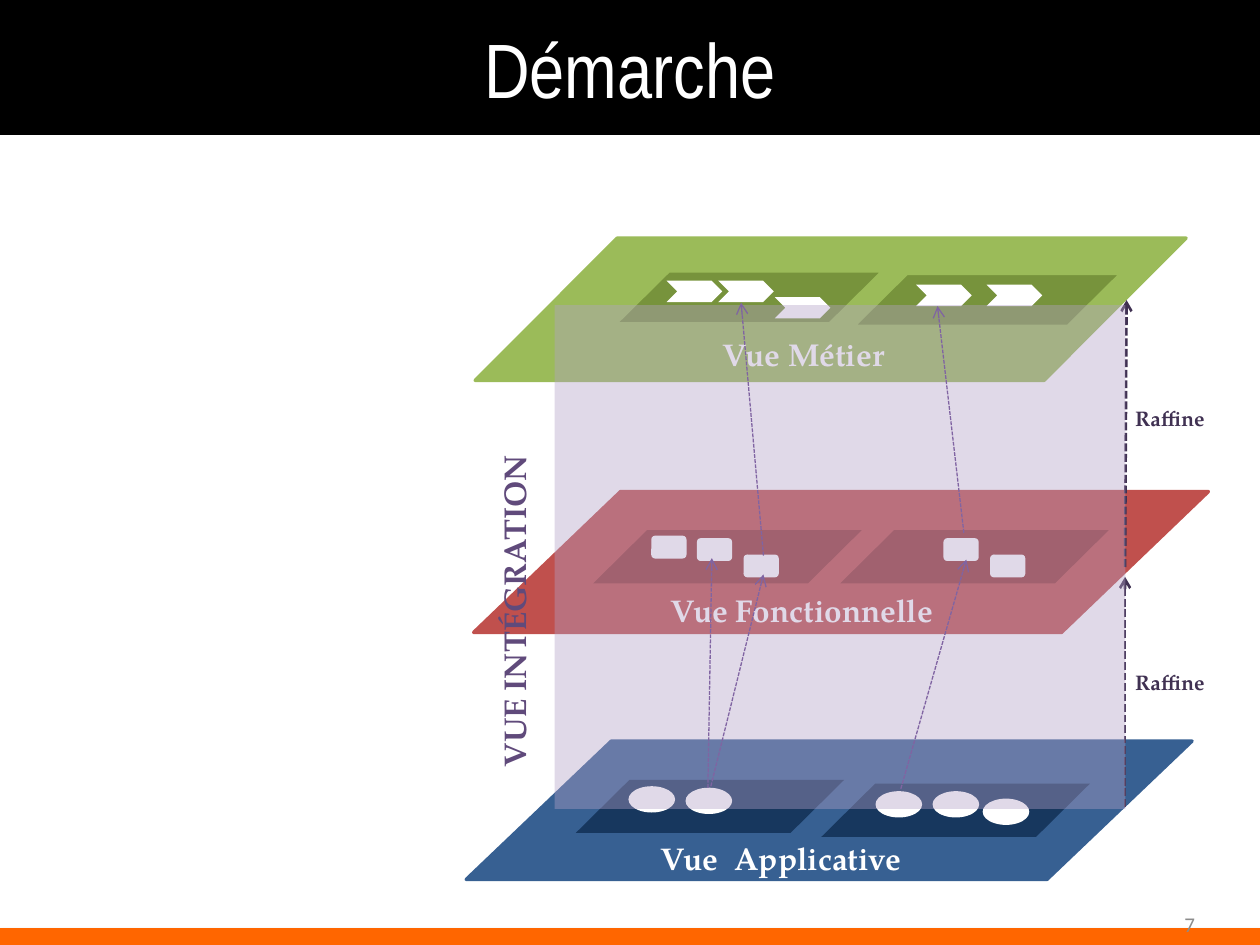
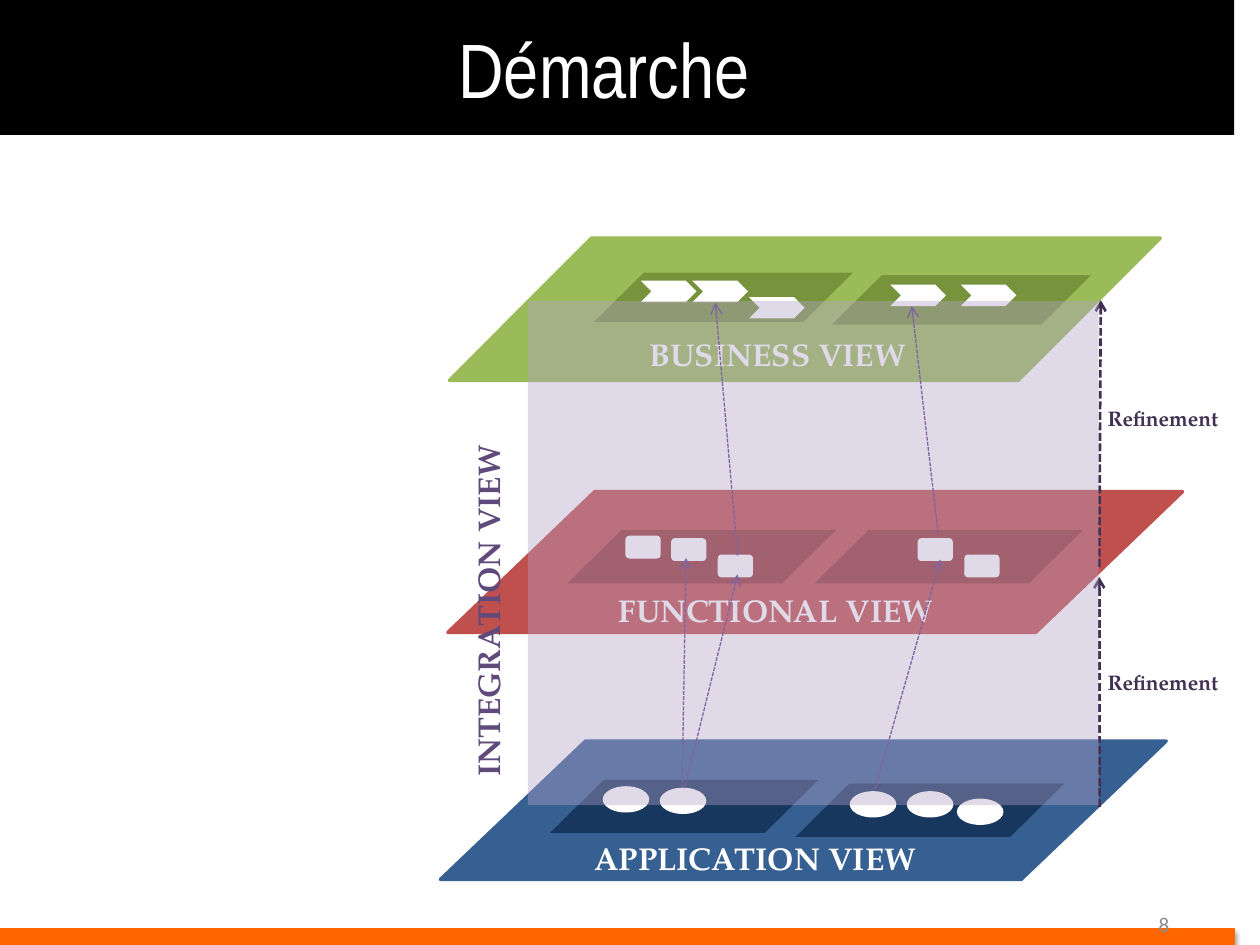
"""Build two slides showing the layered views of the approach, in French and in English."""
from lxml import etree
from pptx import Presentation
from pptx.dml.color import RGBColor
from pptx.enum.dml import MSO_LINE
from pptx.enum.shapes import MSO_CONNECTOR, MSO_SHAPE
from pptx.enum.text import MSO_ANCHOR, MSO_AUTO_SIZE, PP_ALIGN
from pptx.oxml.ns import qn
from pptx.util import Cm, Pt

RECT, PLANE = MSO_SHAPE.RECTANGLE, MSO_SHAPE.FLOWCHART_DATA
CHEVRON, BOX, OVAL = MSO_SHAPE.CHEVRON, MSO_SHAPE.ROUNDED_RECTANGLE, MSO_SHAPE.OVAL
STRAIGHT, DASH = MSO_CONNECTOR.STRAIGHT, MSO_LINE.SQUARE_DOT
MIDDLE, GROW = MSO_ANCHOR.MIDDLE, MSO_AUTO_SIZE.SHAPE_TO_FIT_TEXT
CENTER, RIGHT = PP_ALIGN.CENTER, PP_ALIGN.RIGHT

BLACK, WHITE, ORANGE, GRAY = "000000", "FFFFFF", "FF6600", "8C8C8C"
GREEN, RED, BLUE = "9BBB59", "C0504D", "376092"
VIOLET, LILAC, PURPLE, PLUM = "8064A2", "B3A2C7", "604A7B", "403152"
TITLE_FONT, NUMBER_FONT, LABEL_FONT = "Arial Narrow", "Calibri", "TeX Gyre Pagella"

SLIDES = [
    {"title": "Démarche", "number": "7", "shift": 0, "veil": (11.18, 6.15), "refine_x": 21.31,
     "integration": "VUE INTÉGRATION", "functional": "Vue Fonctionnelle",
     "business": "Vue Métier", "application": "Vue  Applicative", "refine": "Raffine"},
    {"title": "Démarche", "number": "8", "shift": -0.52, "veil": (11.16, 6.07), "refine_x": 21.69,
     "integration": "INTEGRATION VIEW", "functional": "FUNCTIONAL VIEW",
     "business": "BUSINESS VIEW", "application": "APPLICATION VIEW", "refine": "Refinement"},
]

PLANES = [
    (BLUE, (9.4, 14.94, 14.63, 2.79)),
    (RED, (9.55, 9.91, 14.81, 2.84)),
    (GREEN, (9.58, 4.8, 14.33, 2.87)),
]
VIEW_LABELS = [
    ("integration", PURPLE, (5.36, 11.94, 10.01, 0.76), 270),
    ("functional", WHITE, (11.23, 11.91, 9.86, 0.76), 0),
    ("business", WHITE, (12.4, 6.76, 7.59, 0.76), 0),
    ("application", WHITE, (10.74, 16.92, 10.01, 0.76), 0),
]
ZONE_SIZE = (5.41, 1.07)
VIEWS = [
    {"fill": "77933C", "line": GREEN, "kind": CHEVRON, "size": (1.12, 0.43), "zones": [
        ((12.4, 5.46), [(14.48, 5.66), (13.44, 5.66), (15.62, 5.99)]),
        ((17.2, 5.51), [(19.89, 5.74), (18.47, 5.74)])]},
    {"fill": "953735", "line": None, "kind": BOX, "size": (0.71, 0.46), "zones": [
        ((11.96, 10.69), [(13.13, 10.8), (14.05, 10.85), (14.99, 11.18)]),
        ((16.94, 10.69), [(19.02, 10.85), (19.96, 11.18)])]},
    {"fill": "17375E", "line": None, "kind": OVAL, "size": (0.94, 0.53), "zones": [
        ((11.61, 15.72), [(12.67, 15.85), (13.82, 15.88)]),
        ((16.56, 15.8), [(17.65, 15.95), (18.8, 15.95), (19.81, 16.1)])]},
]
VEIL_SIZE = (11.51, 10.16)
REFINE_ARROWS = [((22.68, 11.43), (22.71, 6.05)), ((22.68, 16.26), (22.68, 11.63))]
REFINE_TOPS = [8.18, 13.49]
TRACE_ARROWS = [
    ((19.43, 10.74), (18.9, 6.17)),
    ((18.16, 15.9), (19.48, 11.28)),
    ((15.39, 11.2), (14.94, 6.1)),
    ((14.33, 15.85), (15.39, 11.58)),
    ((14.27, 15.88), (14.35, 11.25)),
]


def rgb(color):
    return RGBColor.from_string(color)


def place(box, shift):
    return [Cm(box[0] + shift), *map(Cm, box[1:])]


def add_block(shapes, kind, box, shift, fill, line=None, width=2):
    sp = shapes.add_shape(kind, *place(box, shift))
    sp.shadow.inherit = False
    sp.fill.solid()
    sp.fill.fore_color.rgb = rgb(fill)
    if line:
        sp.line.color.rgb = rgb(line)
        sp.line.width = Pt(width)
    else:
        sp.line.fill.background()
    return sp


def add_alpha(color, percent):
    etree.SubElement(color, qn("a:alpha"), val=str(percent * 1000))


def add_shadow(sp):
    effects = sp._element.spPr.find(qn("a:effectLst"))
    shadow = etree.SubElement(effects, qn("a:outerShdw"), blurRad=str(Pt(3.1)),
                              dist=str(Pt(1.8)), dir="5400000", rotWithShape="0")
    add_alpha(etree.SubElement(shadow, qn("a:srgbClr"), val=BLACK), 35)


def set_text(tf, text, font, size, color, align, bold=False):
    tf.word_wrap = True
    p = tf.paragraphs[0]
    p.text = text
    p.alignment = align
    p.font.name = font
    p.font.size = Pt(size)
    p.font.bold = bold
    p.font.color.rgb = rgb(color)


def add_label(shapes, text, box, shift, size, color, rotation=0):
    sp = shapes.add_textbox(*place(box, shift))
    sp.rotation = rotation
    tf = sp.text_frame
    tf.margin_left = tf.margin_right = Cm(0.1)
    tf.margin_top = tf.margin_bottom = 0
    set_text(tf, text, LABEL_FONT, size, color, CENTER, True)
    tf.auto_size = GROW


def add_arrow(shapes, start, end, shift, color, width):
    cxn = shapes.add_connector(STRAIGHT, *place(start, shift), *place(end, shift))
    cxn.line.color.rgb = rgb(color)
    cxn.line.width = Pt(width)
    cxn.line.dash_style = DASH
    etree.SubElement(cxn.line._get_or_add_ln(), qn("a:tailEnd"), type="arrow")
    etree.SubElement(cxn._element.spPr, qn("a:effectLst"))


def add_frame(slide, content):
    shapes, shift = slide.shapes, content["shift"]
    title = shapes.title
    title.left, title.top, title.width, title.height = place((0, 0, 25.4, 2.72), shift)
    title.fill.solid()
    title.fill.fore_color.rgb = rgb(BLACK)
    title.text_frame.vertical_anchor = MIDDLE
    set_text(title.text_frame, content["title"], TITLE_FONT, 44, WHITE, CENTER)
    add_shadow(add_block(shapes, RECT, (0, 18.72, 25.4, 0.33), shift, ORANGE, ORANGE, 0.75))
    number = shapes.add_textbox(*place((18.42, 18.11, 5.92, 1.02), shift))
    number.text_frame.vertical_anchor = MIDDLE
    set_text(number.text_frame, content["number"], NUMBER_FONT, 12, GRAY, RIGHT)


def add_view(shapes, view, shift):
    group = shapes.add_group_shape().shapes
    for corner, items in view["zones"]:
        add_block(group, PLANE, corner + ZONE_SIZE, shift, view["fill"], view["line"])
        for item in items:
            add_block(group, view["kind"], item + view["size"], shift, WHITE)


def build_slide(prs, content):
    slide = prs.slides.add_slide(prs.slide_layouts[5])
    shapes, shift = slide.shapes, content["shift"]
    add_frame(slide, content)
    for color, box in PLANES:
        add_block(shapes, PLANE, box, shift, color, color)
    for start, end in REFINE_ARROWS:
        add_arrow(shapes, start, end, shift, PLUM, 1.5)
    for key, color, box, rotation in VIEW_LABELS:
        add_label(shapes, content[key], box, shift, 18, color, rotation)
    for view in VIEWS:
        add_view(shapes, view, shift)
    veil = add_block(shapes, RECT, content["veil"] + VEIL_SIZE, shift, LILAC)
    add_alpha(veil._element.spPr.find(qn("a:solidFill"))[0], 40)
    for top in REFINE_TOPS:
        add_label(shapes, content["refine"], (content["refine_x"], top, 4.55, 0.51), shift, 12, PLUM)
    for start, end in TRACE_ARROWS:
        add_arrow(shapes, start, end, shift, VIOLET, 0.75)


def main():
    prs = Presentation()
    prs.slide_width, prs.slide_height = Cm(25.4), Cm(19.05)
    for content in SLIDES:
        build_slide(prs, content)
    prs.save("out.pptx")


if __name__ == "__main__":
    main()
